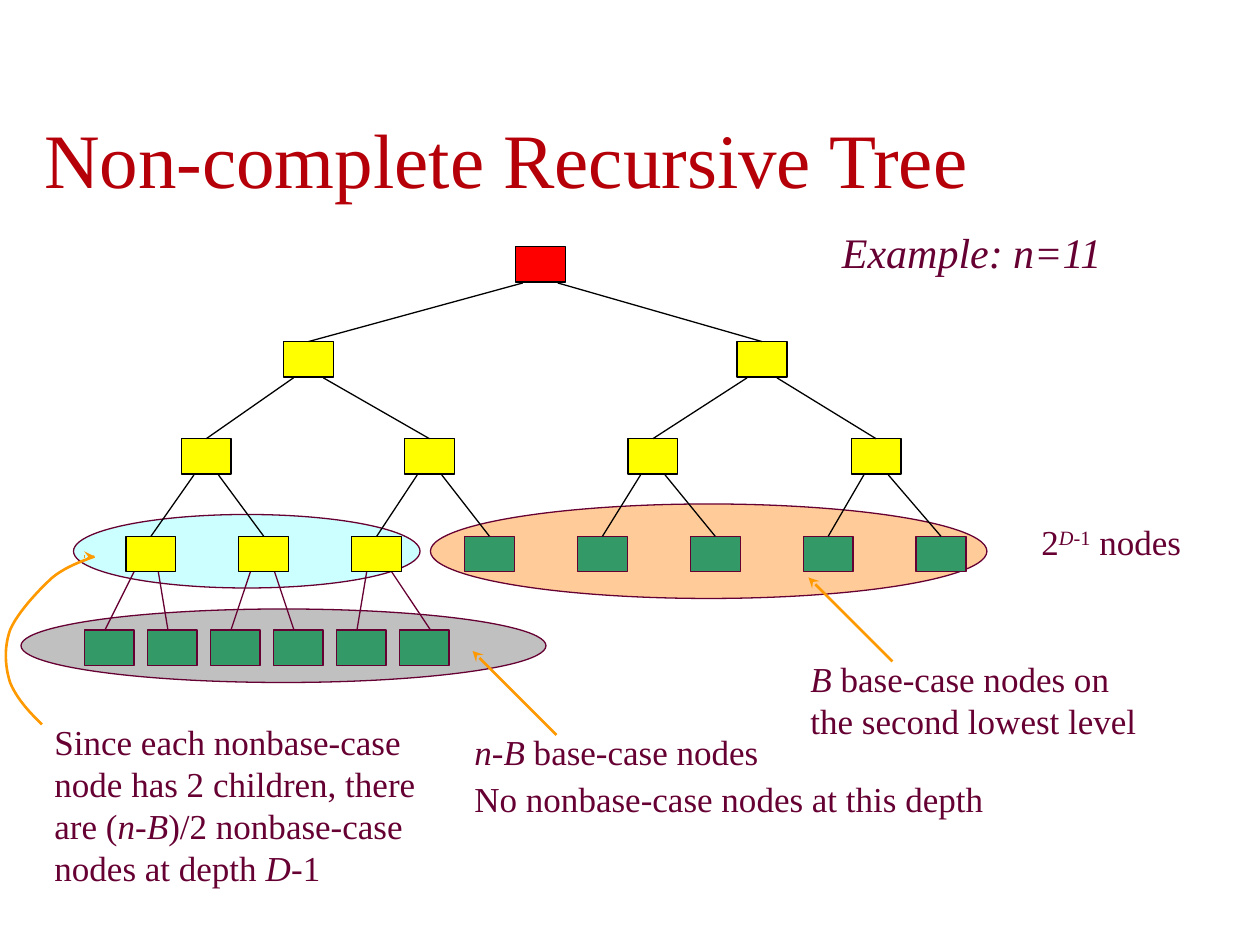
"""Build a slide showing a non-complete recursive tree with its base-case levels."""
from lxml import etree
from pptx import Presentation
from pptx import util as u
from pptx.dml.color import RGBColor
from pptx.enum import shapes, text
from pptx.oxml import ns

Pt = u.Pt
color = RGBColor.from_string
FONT = "Times New Roman"
BLACK, PLUM, ORANGE = "000000", "660033", "FF9900"
RED, YELLOW, GREEN = "FF0000", "FFFF00", "339966"
NODE_WIDTH, NODE_HEIGHT = 28.5, 20.2

presentation = Presentation()
presentation.slide_width, presentation.slide_height = Pt(720), Pt(540)
slide = presentation.slides.add_slide(presentation.slide_layouts[5])


def add_filled(kind, left, top, width, height, fill, line):
    shape = slide.shapes.add_shape(kind, Pt(left), Pt(top), Pt(width), Pt(height))
    shape.shadow.inherit = False
    shape.fill.solid()
    shape.fill.fore_color.rgb = color(fill)
    shape.line.color.rgb = color(line)
    shape.line.width = Pt(0.75)
    return shape


def add_line(x1, y1, x2, y2, line, width=0.75, arrow=False):
    connector = slide.shapes.add_connector(
        shapes.MSO_CONNECTOR.STRAIGHT, Pt(x1), Pt(y1), Pt(x2), Pt(y2))
    connector.line.color.rgb = color(line)
    connector.line.width = Pt(width)
    if arrow:
        outline = connector.line._get_or_add_ln()
        etree.SubElement(outline, ns.qn("a:tailEnd"), type="stealth")
    etree.SubElement(connector._element.spPr, ns.qn("a:effectLst"))
    return connector


title = slide.shapes.title
title.left, title.top, title.width, title.height = Pt(18), Pt(59.8), Pt(680.4), Pt(60.5)
title.text_frame.text = "Non-complete Recursive Tree"
title.text_frame.vertical_anchor = text.MSO_ANCHOR.BOTTOM
title.text_frame.auto_size = text.MSO_AUTO_SIZE.NONE
paragraph = title.text_frame.paragraphs[0]
paragraph.alignment = text.PP_ALIGN.LEFT
paragraph.font.name, paragraph.font.size = FONT, Pt(44)
paragraph.font.color.rgb = color("B60009")

for left, top, width, height, fill in [
    (42, 294, 198, 42, "CCFFFF"),
    (12, 348, 300, 42, "C0C0C0"),
    (246, 288, 318, 54, "FFCC99"),
]:
    add_filled(shapes.MSO_SHAPE.OVAL, left, top, width, height, fill, PLUM)

for index, end in enumerate([60, 96, 132, 168, 204, 246]):
    parent, side = divmod(index, 2)
    add_line(78 + 66 * parent + 12 * side, 324, end, 360, PLUM)

levels = []
for left, top, pitch, fills in [
    (294.5, 141, 0, [RED]),
    (162, 195.2, 259.2, [YELLOW] * 2),
    (103.6, 250.7, 127.6, [YELLOW] * 4),
    (72, 306.5, 64.5, [YELLOW] * 3 + [GREEN] * 5),
    (48.2, 360, 36, [GREEN] * 6),
]:
    levels.append([
        add_filled(shapes.MSO_SHAPE.RECTANGLE, left + pitch * column, top,
                   NODE_WIDTH, NODE_HEIGHT, fill, PLUM if fill == GREEN else BLACK)
        for column, fill in enumerate(fills)])

for parents, children, spread in zip(levels[:3], levels[1:4], [10, 8.5, 7]):
    for index, child in enumerate(children):
        parent = parents[index // 2]
        start_x = parent.left.pt + NODE_WIDTH / 2 + (spread if index % 2 else -spread)
        edge = add_line(start_x, parent.top.pt + NODE_HEIGHT + 0.5,
                        child.left.pt + NODE_WIDTH / 2, child.top.pt, BLACK)
        edge.end_connect(child, 0)

for left, top, width, height, size, paragraphs in [
    (456, 372, 204, 55.4, 20,
     [[("B", "italic"), (" base-case nodes on the second lowest level", "")]]),
    (264, 414, 342, 57.6, 20,
     [[("n", "italic"), ("-", ""), ("B", "italic"), (" base-case nodes", "")],
      [("No nonbase-case nodes at this depth", "")]]),
    (588, 294, 108, 31.7, 20,
     [[("2", ""), ("D", "italic super"), ("-1", "super"), (" nodes", "")]]),
    (24, 408, 234, 103.7, 20,
     [[("Since each nonbase-case node has 2 children, there are (", ""),
       ("n", "italic"), ("-", ""), ("B", "italic"),
       (")/2 nonbase-case nodes at depth ", ""), ("D", "italic"), ("-1", "")]]),
    (474, 126, 228, 36, 24, [[("Example: n=11", "italic")]]),
]:
    box = slide.shapes.add_textbox(Pt(left), Pt(top), Pt(width), Pt(height))
    frame = box.text_frame
    frame.word_wrap = True
    for number, runs in enumerate(paragraphs):
        paragraph = frame.add_paragraph() if number else frame.paragraphs[0]
        paragraph.space_before = Pt(2.5 if number else 0)
        paragraph.font.name, paragraph.font.size = FONT, Pt(size)
        paragraph.font.color.rgb = color(PLUM)
        for words, style in runs:
            run = paragraph.add_run()
            run.text = words
            if "italic" in style:
                run.font.italic = True
            if "super" in style:
                run.font._element.set("baseline", "30000")

curve_start = (24, 414)
curves = [
    [(16.6, 406.8), (9.4, 398.9), (5.8, 390)],
    [(2.9, 380.9), (2.2, 370.1), (5.8, 360)],
    [(10.1, 349.9), (22.3, 337), (30, 330)],
    [(38.2, 323.3), (49.7, 319.7), (54, 318)],
]
points = []
corner = curve_start
for first, second, last in curves:
    for step in range(1, 13):
        t = step / 12
        points.append(tuple(
            Pt((1 - t) ** 3 * a + 3 * (1 - t) ** 2 * t * b + 3 * (1 - t) * t ** 2 * c + t ** 3 * d)
            for a, b, c, d in zip(corner, first, second, last)))
    corner = last
builder = slide.shapes.build_freeform(Pt(curve_start[0]), Pt(curve_start[1]))
builder.add_line_segments(points, close=False)
pointer = builder.convert_to_shape()
pointer.shadow.inherit = False
pointer.fill.background()
pointer.line.color.rgb = color(ORANGE)
pointer.line.width = Pt(1.5)

for ends in [(510, 378, 462, 330), (318, 420, 270, 372), (48, 318, 54, 318)]:
    add_line(*ends, ORANGE, 1.5, arrow=True)

presentation.save("out.pptx")
